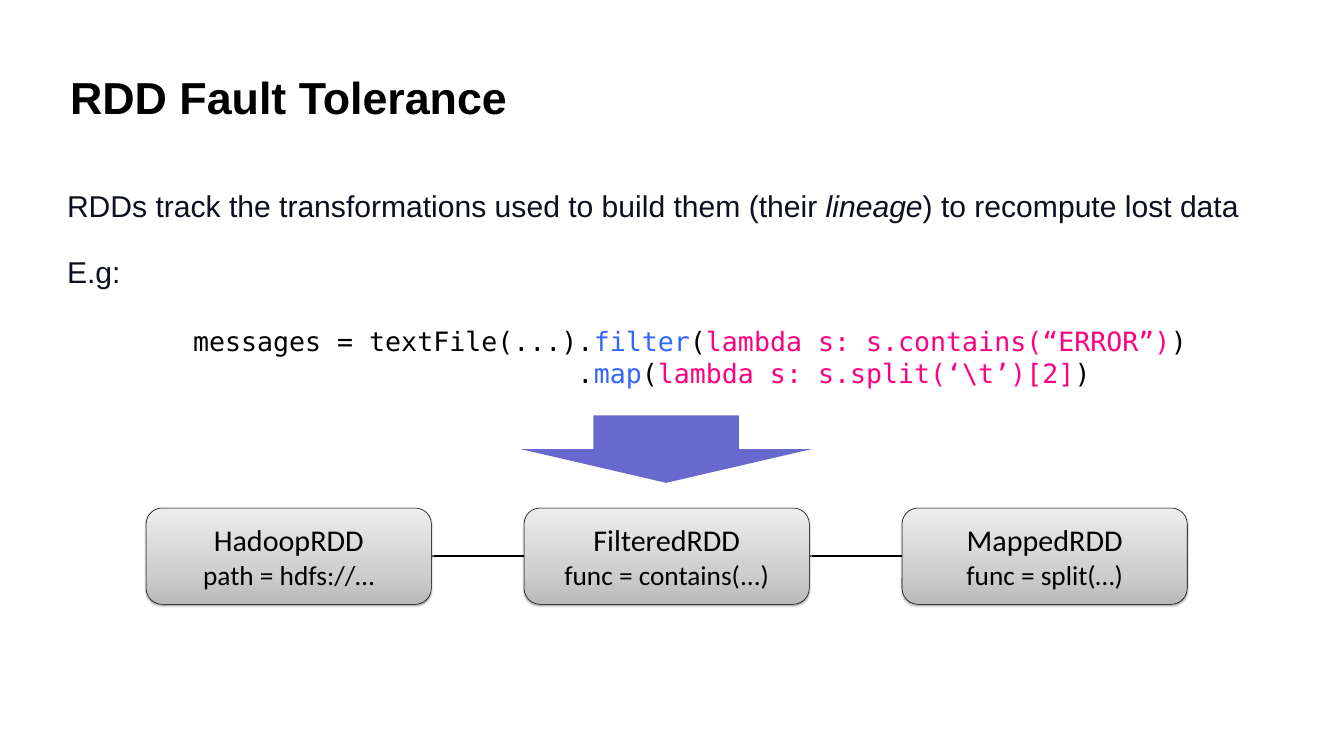
import pptx
import pptx.dml.color
import pptx.enum.shapes
import pptx.enum.text
import pptx.oxml
import pptx.oxml.ns
import pptx.util
from pptx.util import Inches

SHAPE = pptx.enum.shapes.MSO_SHAPE
ANCHOR = pptx.enum.text.MSO_ANCHOR
ALIGN = pptx.enum.text.PP_ALIGN
NS = pptx.oxml.ns.nsdecls("a")

BLACK, NAVY, BLUE, PINK, PURPLE = "000000", "0C0F20", "3366FF", "FF0080", "6868CF"
BOX_STOPS = [(0, "BABABA"), (35, "CFCFCF"), (100, "EDEDED")]
TITLE = dict(name="Arial", size=64, color=BLACK, bold=True)
BODY = dict(name="Arial", size=43, color=NAVY)
CODE = dict(name="DejaVu Sans Mono", size=38, color=BLACK)
STAGE_NAME = dict(name="Calibri", size=43, color=BLACK)
STAGE_DETAIL = dict(STAGE_NAME, size=39)


def rgb(color):
    return pptx.dml.color.RGBColor.from_string(color)


def format_font(font, fmt):
    for key, value in fmt.items():
        if key == "color":
            font.color.rgb = rgb(value)
        else:
            setattr(font, key, pptx.util.Pt(value) if key == "size" else value)


def fill_text(tf, paragraphs, margins, anchor=ANCHOR.TOP, align=ALIGN.LEFT, gap=0):
    """Write paragraphs given as lists of (text, format) runs, gap points apart."""
    tf.word_wrap = True
    tf.vertical_anchor = anchor
    side, end = map(Inches, margins)
    tf.margin_left = tf.margin_right = side
    tf.margin_top = tf.margin_bottom = end
    for i, runs in enumerate(paragraphs):
        p = tf.paragraphs[0] if i == 0 else tf.add_paragraph()
        p.alignment = align
        if i and gap:
            p.space_before = pptx.util.Pt(gap)
        for text, fmt in runs:
            r = p.add_run()
            r.text = text
            format_font(r.font, fmt)


def add_text(slide, box, paragraphs, margins, **options):
    sp = slide.shapes.add_textbox(*map(Inches, box))
    fill_text(sp.text_frame, paragraphs, margins, **options)


def add_title(slide, box):
    add_text(slide, box, [[("RDD Fault Tolerance", TITLE)]], (0.06, 0.06), anchor=ANCHOR.MIDDLE)


def add_body(slide, box):
    add_text(slide, box, [
        [("RDDs track the transformations used to build them (their ", BODY),
         ("lineage", dict(BODY, italic=True)),
         (") to recompute lost data", BODY)],
        [("E.g:", BODY)],
    ], (0, 0), gap=42.9)


def add_code(slide, box):
    calls = [
        ("messages = textFile(...).", "filter", "lambda s: s.contains(“ERROR”)"),
        ("                        .", "map", r"lambda s: s.split(‘\t’)[2]"),
    ]
    method, argument = dict(CODE, color=BLUE), dict(CODE, color=PINK)
    add_text(slide, box, [
        [(start, CODE), (name, method), ("(", CODE), (arg, argument), (")", CODE)]
        for start, name, arg in calls
    ], (0.24, 0.12))


def add_down_arrow(slide, box):
    sp = slide.shapes.add_shape(SHAPE.DOWN_ARROW, *map(Inches, box))
    sp.shadow.inherit = False
    sp.fill.solid()
    sp.fill.fore_color.rgb = rgb(PURPLE)
    sp.line.fill.background()


def shade_box(sp):
    """Give a box its vertical three-stop gradient and soft shadow below."""
    sp.fill.gradient()
    sp.fill.gradient_angle = 90
    stops = sp._element.spPr.find(".//" + pptx.oxml.ns.qn("a:gsLst"))
    for stop in list(stops):
        stops.remove(stop)
    for pos, color in BOX_STOPS:
        stops.append(pptx.oxml.parse_xml(
            f'<a:gs {NS} pos="{pos * 1000}"><a:srgbClr val="{color}"/></a:gs>'))
    sp.shadow.inherit = False
    effects = sp._element.spPr.find(pptx.oxml.ns.qn("a:effectLst"))
    effects.append(pptx.oxml.parse_xml(
        f'<a:outerShdw {NS} blurRad="40000" dist="20000" dir="5400000" rotWithShape="0">'
        f'<a:srgbClr val="{BLACK}"><a:alpha val="38000"/></a:srgbClr></a:outerShdw>'))


def add_stage(slide, box, name, detail):
    sp = slide.shapes.add_shape(SHAPE.ROUNDED_RECTANGLE, *map(Inches, box))
    shade_box(sp)
    sp.line.color.rgb = rgb(BLACK)
    sp.line.width = pptx.util.Pt(0.75)
    fill_text(sp.text_frame, [[(name, STAGE_NAME)], [(detail, STAGE_DETAIL)]],
              (0, 0.05), anchor=ANCHOR.MIDDLE, align=ALIGN.CENTER)
    return sp


def add_parent_link(slide, child, parent):
    line = slide.shapes.add_connector(pptx.enum.shapes.MSO_CONNECTOR.STRAIGHT, 0, 0, 0, 0)
    line.begin_connect(child, 1)
    line.end_connect(parent, 3)
    line.line.color.rgb = rgb(BLACK)
    line.line.width = pptx.util.Pt(2)
    line.line._get_or_add_ln().append(
        pptx.oxml.parse_xml(f'<a:tailEnd {NS} type="stealth" w="sm" len="sm"/>'))
    line._element.spPr.append(pptx.oxml.parse_xml(f"<a:effectLst {NS}/>"))


def add_lineage(slide, box):
    """Spread the stages evenly over the box, each linked back to its parent."""
    left, top, width, height = box
    stages = [
        ("HadoopRDD", "path = hdfs://…"),
        ("FilteredRDD", "func = contains(...)"),
        ("MappedRDD", "func = split(…)"),
    ]
    stage_w = 5.66
    step = (width - stage_w) / (len(stages) - 1)
    boxes = [add_stage(slide, (left + i * step, top, stage_w, height), *stage)
             for i, stage in enumerate(stages)]
    for parent, child in zip(boxes, boxes[1:]):
        add_parent_link(slide, child, parent)


def main():
    prs = pptx.Presentation()
    prs.slide_width, prs.slide_height = Inches(26.67), Inches(15)
    slide = prs.slides.add_slide(prs.slide_layouts[6])
    add_down_arrow(slide, (10.33, 8.24, 5.78, 1.34))
    add_title(slide, (1.33, 0.67, 24, 2.5))
    add_body(slide, (1.33, 3.72, 24.22, 9.12))
    add_code(slide, (3.59, 6.33, 22.08, 2.16))
    add_lineage(slide, (2.9, 10.08, 20.66, 1.91))
    prs.save("out.pptx")


if __name__ == "__main__":
    main()
